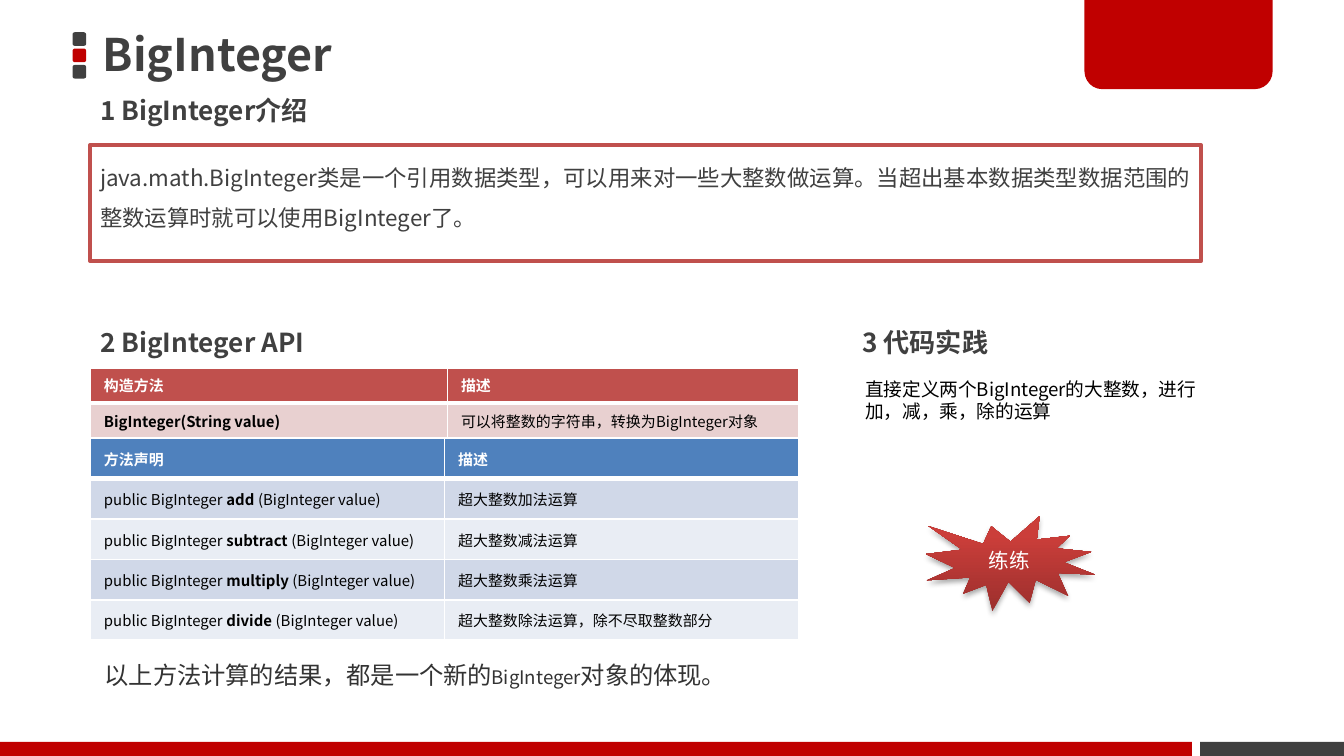
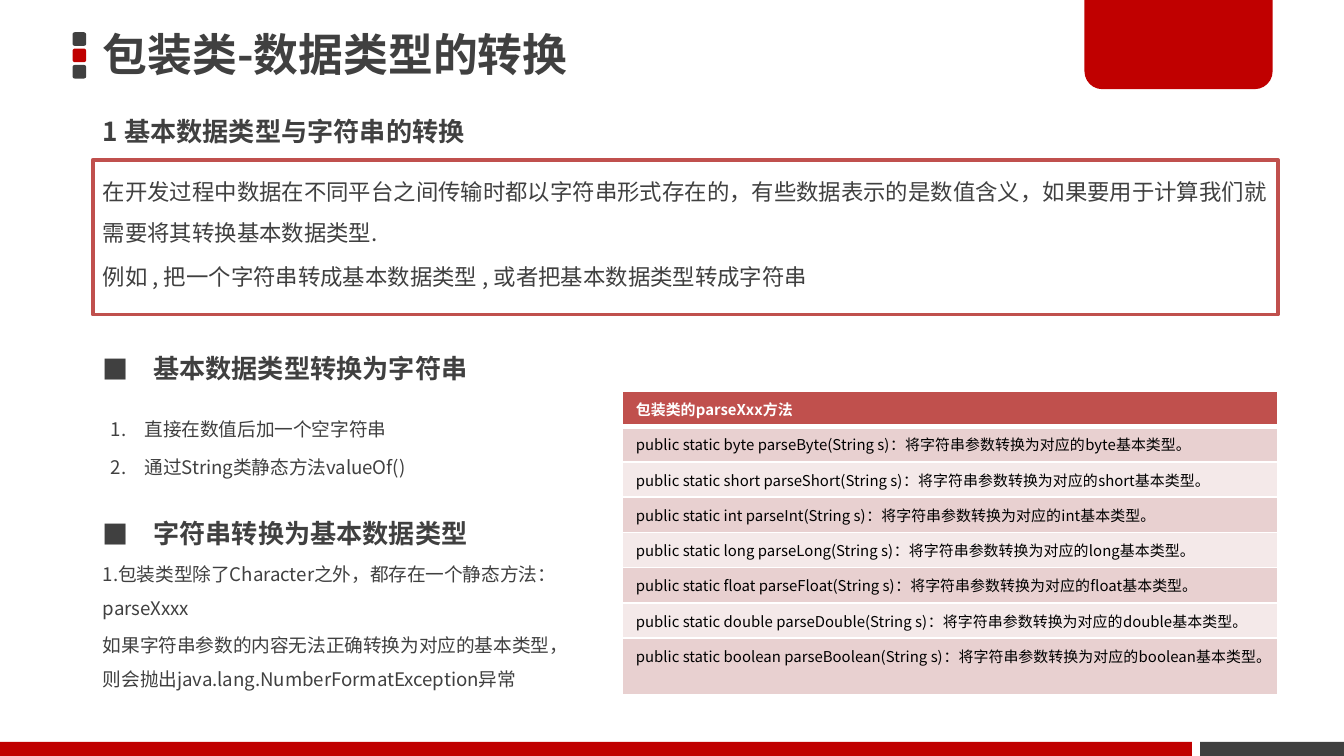
from lxml import etree
from pptx import Presentation
from pptx.dml.color import RGBColor
from pptx.enum import shapes, text
from pptx.oxml import ns
from pptx.util import Pt

FONT = "Noto Sans CJK JP"
COLORS = {
    "ink": "404040", "grey": "333333", "black": "000000", "white": "FFFFFF",
    "red": "C00000", "brick": "C0504D", "rose": "E8D0D0", "blush": "F4E9E9",
    "blue": "4F81BD", "sky": "D0D8E8", "ice": "E9EDF4",
    "seal_dark": "9C2F2D", "seal_light": "CB3E3A",
}
PRESET = shapes.MSO_SHAPE
MIDDLE = text.MSO_ANCHOR.MIDDLE
TIGHT = (5.4, 2.7)
ROOMY = (7.2, 3.6)


def rgb(name):
    return RGBColor.from_string(COLORS[name])


def child(parent, tag, **attributes):
    element = etree.SubElement(parent, ns.qn(tag))
    for key, value in attributes.items():
        element.set(key, str(value))
    return element


# Text
def style_run(run, size, color, bold=False, font=FONT):
    run.font.size = Pt(size)
    run.font.bold = bold
    run.font.name = font
    run.font.color.rgb = rgb(color)
    child(run._r.get_or_add_rPr(), "a:ea", typeface=FONT)


def write(frame, lines, size, color, bold=False, spacing=None, gap=0):
    """Each line is a string, or a list of (wording, style changes) runs."""
    for number, line in enumerate(lines):
        paragraph = frame.paragraphs[0] if number == 0 else frame.add_paragraph()
        if spacing:
            paragraph.line_spacing = spacing
        if number and gap:
            paragraph.space_before = Pt(gap)
        parts = [(line, {})] if isinstance(line, str) else line
        for wording, changes in parts:
            run = paragraph.add_run()
            run.text = wording
            style_run(run, **{"size": size, "color": color, "bold": bold, **changes})


def fit_frame(frame, insets, anchor):
    frame.word_wrap = True
    frame.auto_size = text.MSO_AUTO_SIZE.NONE
    frame.margin_left = frame.margin_right = Pt(insets[0])
    frame.margin_top = frame.margin_bottom = Pt(insets[1])
    frame.vertical_anchor = anchor


def add_text(slide, at, lines, size, color="ink", insets=TIGHT,
             anchor=text.MSO_ANCHOR.TOP, **style):
    box = slide.shapes.add_textbox(*map(Pt, at))
    fit_frame(box.text_frame, insets, anchor)
    write(box.text_frame, lines, size, color, **style)
    return box


def add_heading(slide, at, wording):
    return add_text(slide, at, [wording], 14, anchor=MIDDLE, bold=True)


def add_bullets(box, indent, tag, **mark):
    for paragraph in box.text_frame.paragraphs:
        properties = paragraph._p.get_or_add_pPr()
        properties.set("marL", str(Pt(indent)))
        properties.set("indent", str(-Pt(indent)))
        child(properties, "a:buFont", typeface=FONT)
        child(properties, tag, **mark)


def add_square_heading(slide, at, wording):
    add_bullets(add_heading(slide, at, wording), 27, "a:buChar", char="■")


# Shapes
def add_block(slide, preset, at, color):
    block = slide.shapes.add_shape(preset, *map(Pt, at))
    block.shadow.inherit = False
    block.fill.solid()
    block.fill.fore_color.rgb = rgb(color)
    block.line.fill.background()
    return block


def add_intro(slide, at, lines):
    intro = add_block(slide, PRESET.RECTANGLE, at, "white")
    intro.line.color.rgb = rgb("brick")
    intro.line.width = Pt(2)
    fit_frame(intro.text_frame, TIGHT, text.MSO_ANCHOR.TOP)
    write(intro.text_frame, lines, 12, "ink", spacing=1.5, gap=2)
    for paragraph in intro.text_frame.paragraphs:
        paragraph.alignment = text.PP_ALIGN.LEFT


def add_seal(slide, at, wording):
    seal = add_block(slide, PRESET.EXPLOSION1, at, "seal_light")
    seal.fill.gradient()
    seal.fill.gradient_angle = 90
    dark, light = seal.fill.gradient_stops
    dark.color.rgb, dark.position = rgb("seal_dark"), 0
    light.color.rgb, light.position = rgb("seal_light"), 0.8
    effects = seal._element.spPr.find(ns.qn("a:effectLst"))
    shadow = child(effects, "a:outerShdw", blurRad=Pt(3.1), dist=Pt(1.8),
                   dir=90 * 60000, rotWithShape=0)
    shade = child(shadow, "a:srgbClr", val=COLORS["black"])
    child(shade, "a:alpha", val=35000)
    fit_frame(seal.text_frame, ROOMY, MIDDLE)
    write(seal.text_frame, [wording], 11, "white")
    seal.text_frame.paragraphs[0].alignment = text.PP_ALIGN.CENTER


# Tables
def add_borders(cell, top, bottom):
    properties = cell._tc.get_or_add_tcPr()
    for tag, width in (("a:lnL", 1), ("a:lnR", 1), ("a:lnT", top), ("a:lnB", bottom)):
        edge = child(properties, tag, w=Pt(width))
        child(child(edge, "a:solidFill"), "a:srgbClr", val=COLORS["white"])


def add_grid(slide, left, top, widths, row_height, rows, header_fill, bands,
             anchor=text.MSO_ANCHOR.TOP):
    grid = slide.shapes.add_table(
        len(rows), len(widths), Pt(left), Pt(top),
        Pt(sum(widths)), Pt(row_height * len(rows))).table
    for column, width in zip(grid.columns, widths):
        column.width = Pt(width)
    for r, row in enumerate(rows):
        grid.rows[r].height = Pt(row_height)
        header = r == 0
        for c, content in enumerate(row):
            cell = grid.cell(r, c)
            add_borders(cell, top=3 if r == 1 else 1, bottom=3 if header else 1)
            cell.fill.solid()
            cell.fill.fore_color.rgb = rgb(header_fill if header else bands[(r - 1) % 2])
            cell.vertical_anchor = anchor
            write(cell.text_frame, [content], 8, "white" if header else "black", bold=header)


# Shared frame of every slide
def add_page(deck, title):
    slide = deck.slides.add_slide(deck.slide_layouts[5])
    for number, color in enumerate(("ink", "red", "ink")):
        add_block(slide, PRESET.ROUNDED_RECTANGLE,
                  (38.9, 17.3 + 8.75 * number, 7.3, 7.3), color)
    add_block(slide, PRESET.RECTANGLE, (643, 397.5, 77, 7.5), "ink")
    add_block(slide, PRESET.RECTANGLE, (0, 397.5, 638.6, 7.5), "red")
    tab = add_block(slide, PRESET.ROUND_2_SAME_RECTANGLE, (581, 0, 100.8, 47.8), "red")
    tab.adjustments[0], tab.adjustments[1] = 0, 0.2

    heading = slide.shapes.title
    heading.left, heading.top, heading.width, heading.height = map(Pt, (49.7, 13.7, 517.7, 30.2))
    fit_frame(heading.text_frame, TIGHT, MIDDLE)
    write(heading.text_frame, [title], 24, "ink", bold=True)
    heading.text_frame.paragraphs[0].alignment = text.PP_ALIGN.LEFT
    return slide


def build_big_integer(deck):
    slide = add_page(deck, "BigInteger")
    add_heading(slide, (48.2, 44, 294, 30), "1 BigInteger介绍")
    add_intro(slide, (48.2, 77.8, 595.4, 62), [
        "java.math.BigInteger类是一个引用数据类型，可以用来对一些大整数做运算。"
        "当超出基本数据类型数据范围的整数运算时就可以使用BigInteger了。"])

    # Constructor and methods
    add_heading(slide, (48.2, 168.5, 294, 30), "2 BigInteger API")
    add_grid(slide, 48.5, 197, (191.3, 188), 18, [
        ("构造方法", "描述"),
        ([("BigInteger(String value)", {"bold": True})],
         "可以将整数的字符串，转换为BigInteger对象"),
    ], "brick", ("rose", "blush"))
    operations = [("add", "超大整数加法运算"), ("subtract", "超大整数减法运算"),
                  ("multiply", "超大整数乘法运算"),
                  ("divide", "超大整数除法运算，除不尽取整数部分")]
    methods = [([("public BigInteger ", {}), (name + " ", {"bold": True}),
                 ("(BigInteger value)", {})], meaning) for name, meaning in operations]
    add_grid(slide, 48.5, 235, (189.7, 189.7), 21.6, [("方法声明", "描述")] + methods,
             "blue", ("sky", "ice"), MIDDLE)
    wide = {"font": "Arial"}
    add_text(slide, (49, 350, 380, 23), [[
        ("以上方法计算的结果，都是一个新的", wide), ("BigInteger", {"size": 10}),
        ("对象的体现。", wide)]], 13, "grey", ROOMY, MIDDLE)

    # Practice
    add_heading(slide, (456.5, 168, 187, 30), "3 代码实践")
    add_text(slide, (456.5, 198.7, 197.3, 31.7),
             ["直接定义两个BigInteger的大整数，进行加，减，乘，除的运算"], 10, "black", ROOMY)
    add_seal(slide, (496, 276.5, 90.7, 51), "练练")


def build_conversion(deck):
    slide = add_page(deck, "包装类-数据类型的转换")
    add_heading(slide, (49.7, 55.4, 294, 30), "1 基本数据类型与字符串的转换")
    add_intro(slide, (49.7, 85.7, 635, 82.8), [
        "在开发过程中数据在不同平台之间传输时都以字符串形式存在的，有些数据表示的是数值含义，"
        "如果要用于计算我们就需要将其转换基本数据类型.",
        "例如 , 把一个字符串转成基本数据类型 , 或者把基本数据类型转成字符串"])

    # Basic type to string
    add_square_heading(slide, (49.7, 180, 272, 34), "基本数据类型转换为字符串")
    ways = add_text(slide, (54, 215.3, 232.6, 49.7),
                    ["直接在数值后加一个空字符串", "通过String类静态方法valueOf()"],
                    10, spacing=1.5, gap=2)
    add_bullets(ways, 18, "a:buAutoNum", type="arabicPeriod")

    # String to basic type
    add_square_heading(slide, (49.7, 270.7, 260.6, 30), "字符串转换为基本数据类型")
    add_text(slide, (49.7, 293, 260.6, 90), [
        "1.包装类型除了Character之外，都存在一个静态方法：parseXxxx",
        "如果字符串参数的内容无法正确转换为对应的基本类型，"
        "则会抛出java.lang.NumberFormatException异常"], 10, spacing=1.5, gap=2)
    kinds = ("byte", "short", "int", "long", "float", "double", "boolean")
    parsers = [(f"public static {kind} parse{kind.capitalize()}(String s)："
                f"将字符串参数转换为对应的{kind}基本类型。",) for kind in kinds]
    add_grid(slide, 333.4, 209.7, (351,), 18, [("包装类的parseXxx方法",)] + parsers,
             "brick", ("rose", "blush"))


def main():
    deck = Presentation()
    deck.slide_width, deck.slide_height = Pt(720), Pt(405)
    build_big_integer(deck)
    build_conversion(deck)
    deck.save("out.pptx")


if __name__ == "__main__":
    main()
